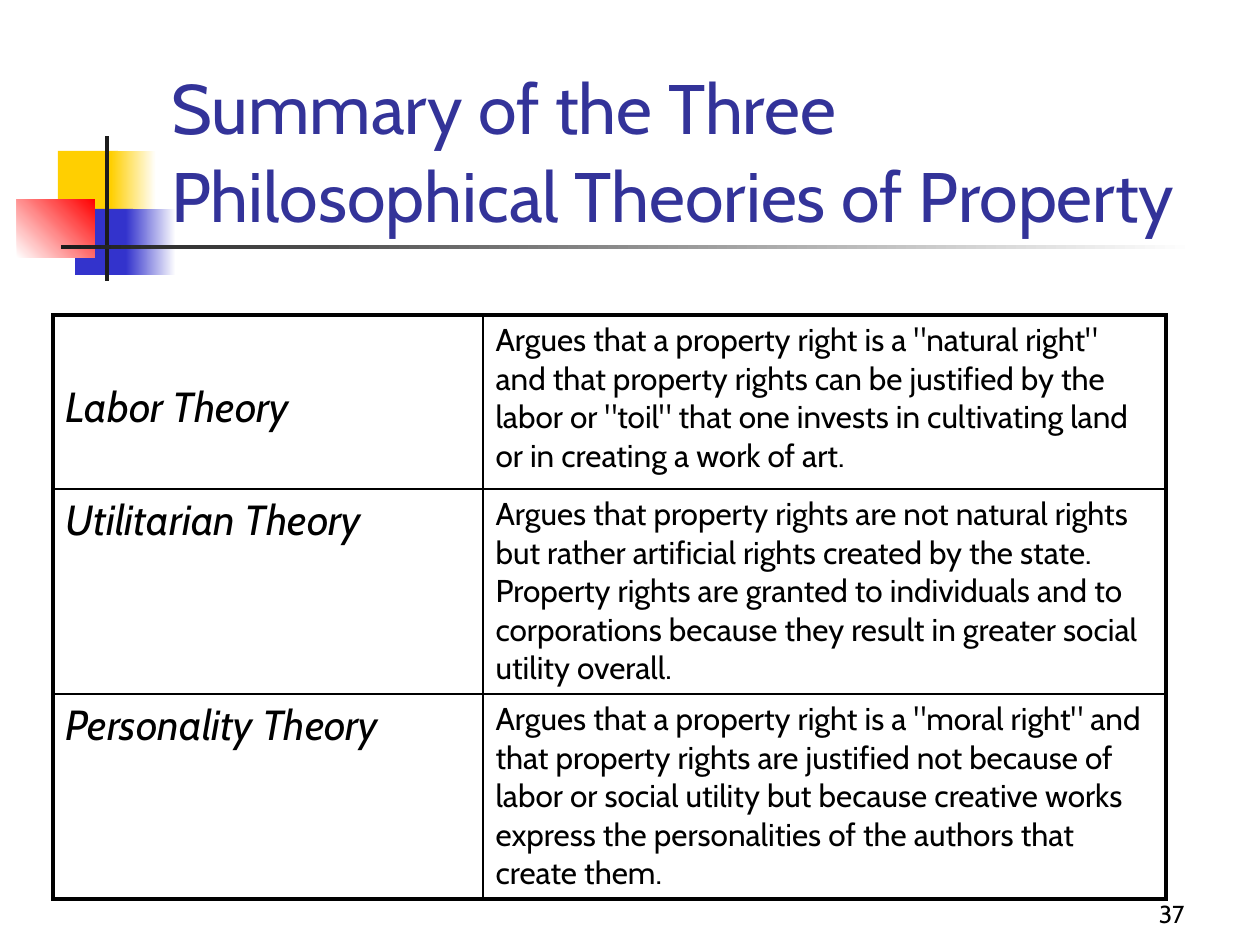
import pptx
import pptx.dml.color
import pptx.enum.shapes
import pptx.enum.text
import pptx.oxml
import pptx.oxml.ns
import pptx.util
from lxml import etree

RGB = pptx.dml.color.RGBColor
ALIGN = pptx.enum.text.PP_ALIGN
ANCHOR = pptx.enum.text.MSO_ANCHOR

YELLOW = RGB(0xFF, 0xCF, 0x01)
BLUE = RGB(0x33, 0x33, 0xCC)
RED = RGB(0xFF, 0x00, 0x00)
CHARCOAL = RGB(0x1C, 0x1C, 0x1C)
WHITE = RGB(0xFF, 0xFF, 0xFF)
BLACK = RGB(0x00, 0x00, 0x00)
TITLE_BLUE = RGB(0x33, 0x33, 0x99)

FONT = "Cabin"
PX_PER_INCH = 126
OUTER_PT, INNER_PT = 2.25, 1

# left, top, width, height, colours from start to end, gradient angle
ORNAMENTS = [
    (58, 151, 60, 66, [YELLOW], 0),
    (111, 151, 45, 66, [YELLOW, WHITE], 0),
    (75, 209, 58, 66, [BLUE], 0),
    (126, 209, 50, 66, [BLUE, WHITE], 0),
    (17, 199, 78, 59, [WHITE, RED], 45),
    (105, 136, 4, 145, [CHARCOAL], 0),
    (61, 245, 1134, 4, [CHARCOAL, WHITE], 0),
]

COLUMN_WIDTHS = [430, 683]
ROW_HEIGHTS = [174, 205, 205]
THEORIES = [
    ("Labor Theory",
     'Argues that a property right is a "natural right" and that property '
     'rights can be justified by the labor or "toil" that one invests in '
     'cultivating land or in creating a work of art.'),
    ("Utilitarian Theory",
     "Argues that property rights are not natural rights but rather "
     "artificial rights created by the state. Property rights are granted "
     "to individuals and to corporations because they result in greater "
     "social utility overall."),
    ("Personality Theory",
     'Argues that a property right is a "moral right" and that property '
     "rights are justified not because of labor or social utility but "
     "because creative works express the personalities of the authors that "
     "create them."),
]


def px(n):
    return pptx.util.Emu(round(n * 914400 / PX_PER_INCH))


def set_text(tf, text, size, color=BLACK, italic=False):
    tf.text = text
    font = tf.paragraphs[0].runs[0].font
    font.name = FONT
    font.size = pptx.util.Pt(size)
    font.italic = italic
    font.color.rgb = color


def add_ornament(slide, left, top, width, height, colors, angle):
    sp = slide.shapes.add_shape(pptx.enum.shapes.MSO_SHAPE.RECTANGLE,
                                px(left), px(top), px(width), px(height))
    sp.shadow.inherit = False
    sp.line.fill.background()
    if len(colors) == 1:
        sp.fill.solid()
        sp.fill.fore_color.rgb = colors[0]
        return
    sp.fill.gradient()
    sp.fill.gradient_angle = angle
    for stop, color in zip(sp.fill.gradient_stops, colors):
        stop.color.rgb = color


def add_label(slide, left, top, width, height, text, size, color,
              align=ALIGN.LEFT, spacing=1.0):
    """Add a wrapped text box whose text sits at the bottom."""
    box = slide.shapes.add_textbox(px(left), px(top), px(width), px(height))
    tf = box.text_frame
    tf.word_wrap = True
    tf.vertical_anchor = ANCHOR.BOTTOM
    set_text(tf, text, size, color)
    tf.paragraphs[0].alignment = align
    tf.paragraphs[0].line_spacing = spacing


def set_borders(cell, widths):
    """Draw the left, right, top and bottom borders, in points."""
    tc_pr = cell._tc.get_or_add_tcPr()
    qn = pptx.oxml.ns.qn
    for i, (side, width) in enumerate(zip("LRTB", widths)):
        ln = etree.Element(qn(f"a:ln{side}"), w=str(pptx.util.Pt(width)))
        fill = etree.SubElement(ln, qn("a:solidFill"))
        etree.SubElement(fill, qn("a:srgbClr"), val=str(BLACK))
        tc_pr.insert(i, ln)


def add_theory_table(slide, left, top):
    rows, cols = len(ROW_HEIGHTS), len(COLUMN_WIDTHS)
    table = slide.shapes.add_table(
        rows, cols, px(left), px(top),
        px(sum(COLUMN_WIDTHS)), px(sum(ROW_HEIGHTS))).table
    table.first_row = False
    table.horz_banding = False
    for column, width in zip(table.columns, COLUMN_WIDTHS):
        column.width = px(width)
    for r, (height, texts) in enumerate(zip(ROW_HEIGHTS, THEORIES)):
        table.rows[r].height = px(height)
        for c, text in enumerate(texts):
            cell = table.cell(r, c)
            is_name = c == 0
            set_text(cell.text_frame, text, 24 if is_name else 18,
                     italic=is_name)
            cell.fill.background()
            edges = (c == 0, c == cols - 1, r == 0, r == rows - 1)
            set_borders(cell, [OUTER_PT if e else INNER_PT for e in edges])
    # The first name sits one line lower than the others.
    table.cell(0, 0).margin_top = px(67)


def main():
    prs = pptx.Presentation()
    prs.slide_width, prs.slide_height = px(1260), px(945)
    slide = prs.slides.add_slide(prs.slide_layouts[6])
    for ornament in ORNAMENTS:
        add_ornament(slide, *ornament)
    add_label(slide, 159, 86, 1074, 157,
              "Summary of the Three Philosophical Theories of Property",
              40, TITLE_BLUE, spacing=1.05)
    add_theory_table(slide, 53, 315)
    add_label(slide, 935, 872, 262, 63, "37", 14, BLACK, ALIGN.RIGHT)
    prs.save("out.pptx")


if __name__ == "__main__":
    main()
